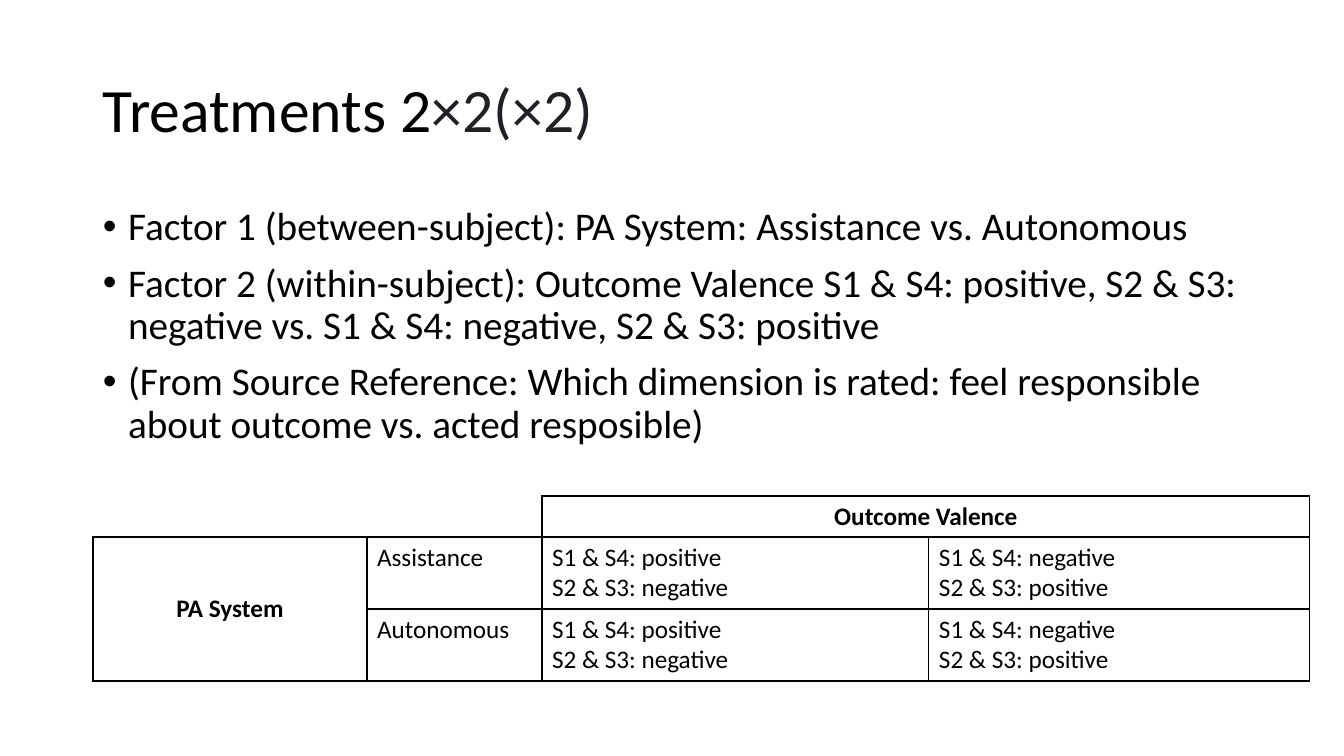
from pptx import Presentation
from pptx.dml.color import RGBColor as RGB
from pptx.enum.text import MSO_ANCHOR as Anchor, PP_ALIGN as Align
from pptx.oxml.ns import qn
from pptx.util import Pt
from lxml.etree import SubElement as Sub, Element

PX = 914400 / 100.8
COLORS = {"text": "000000", "gray": "202124", "line": "000000"}


def px(n):
    return round(n * PX)


def add_run(para, text, size, color="text", bold=False):
    run = para.add_run()
    run.text = text
    look = {"name": "Calibri", "size": Pt(size), "bold": bold}
    for key, val in look.items():
        setattr(run.font, key, val)
    run.font.color.rgb = RGB.from_string(COLORS[color])


deck = Presentation()
deck.slide_width, deck.slide_height = px(1344), px(756)
slide = deck.slides.add_slide(deck.slide_layouts[6])

# Title and body boxes
frames = []
for top, high, anchor in [(40, 146, Anchor.MIDDLE), (202, 275, Anchor.TOP)]:
    box = slide.shapes.add_textbox(px(93), px(top), px(1159), px(high))
    frame = box.text_frame
    frame.word_wrap = True
    frame.vertical_anchor = anchor
    frames.append(frame)
title, body = frames

# Title
head = title.paragraphs[0]
head.line_spacing = 0.9
add_run(head, "Treatments 2", 44)
add_run(head, "×2(×2)", 44, "gray")

# Bullets
points = [
    "Factor 1 (between-subject): PA System: Assistance vs. Autonomous",
    "Factor 2 (within-subject): Outcome Valence S1 & S4: positive, "
    "S2 & S3: negative vs. S1 & S4: negative, S2 & S3: positive",
    "(From Source Reference: Which dimension is rated: feel responsible "
    "about outcome vs. acted resposible)",
]
for i, point in enumerate(points):
    para = body.add_paragraph() if i else body.paragraphs[0]
    para.line_spacing = 0.9
    para.space_before = Pt(10)
    props = para._p.get_or_add_pPr()
    props.set("marL", "228600")
    props.set("indent", "-228600")
    Sub(props, qn("a:buFont"), typeface="Arial")
    Sub(props, qn("a:buChar"), char="•")
    add_run(para, point, 28)

# Table grid
wides, highs = [274, 175, 387, 381], [41, 72, 72]
grid = slide.shapes.add_table(
    len(highs), len(wides), px(93), px(496), px(sum(wides)), px(sum(highs))
).table
grid.first_row = grid.horz_banding = False
for col, wide in zip(grid.columns, wides):
    col.width = px(wide)
for row, high in zip(grid.rows, highs):
    row.height = px(high)
grid.cell(0, 2).merge(grid.cell(0, 3))
grid.cell(1, 0).merge(grid.cell(2, 0))

# Table text
up = ["S1 & S4: positive", "S2 & S3: negative"]
down = ["S1 & S4: negative", "S2 & S3: positive"]
rows = [
    [[], [], ["Outcome Valence"], []],
    [["PA System"], ["Assistance"], up, down],
    [[], ["Autonomous"], up, down],
]
heads = {(0, 2), (1, 0)}
for r, row in enumerate(rows):
    for c, lines in enumerate(row):
        cell = grid.cell(r, c)
        cell.fill.background()
        for i, line in enumerate(lines):
            frame = cell.text_frame
            para = frame.add_paragraph() if i else frame.paragraphs[0]
            add_run(para, line, 18, bold=(r, c) in heads)
            if (r, c) in heads:
                para.alignment = Align.CENTER
                cell.vertical_anchor = Anchor.MIDDLE

        # Cell borders: the two top left cells stay open
        edges = "LRTB"
        if r == 0 and c < 2:
            edges = "B" if c == 0 else "RB"
        props = cell._tc.get_or_add_tcPr()
        for i, side in enumerate("LRTB"):
            edge = Element(qn("a:ln" + side), w="12700")
            if side in edges:
                fill = Sub(edge, qn("a:solidFill"))
                Sub(fill, qn("a:srgbClr"), val=COLORS["line"])
            else:
                Sub(edge, qn("a:noFill"))
            props.insert(i, edge)

deck.save("out.pptx")
